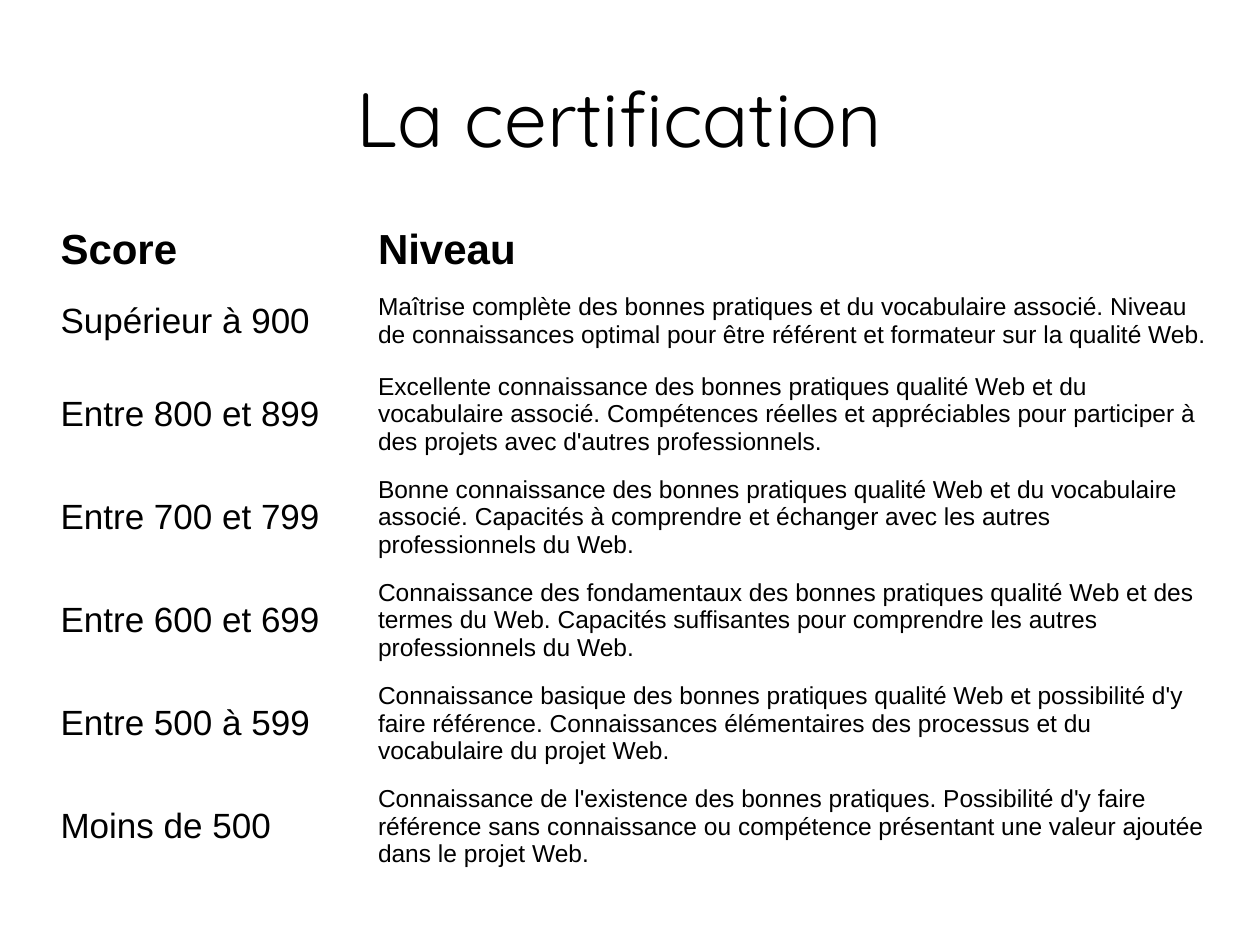
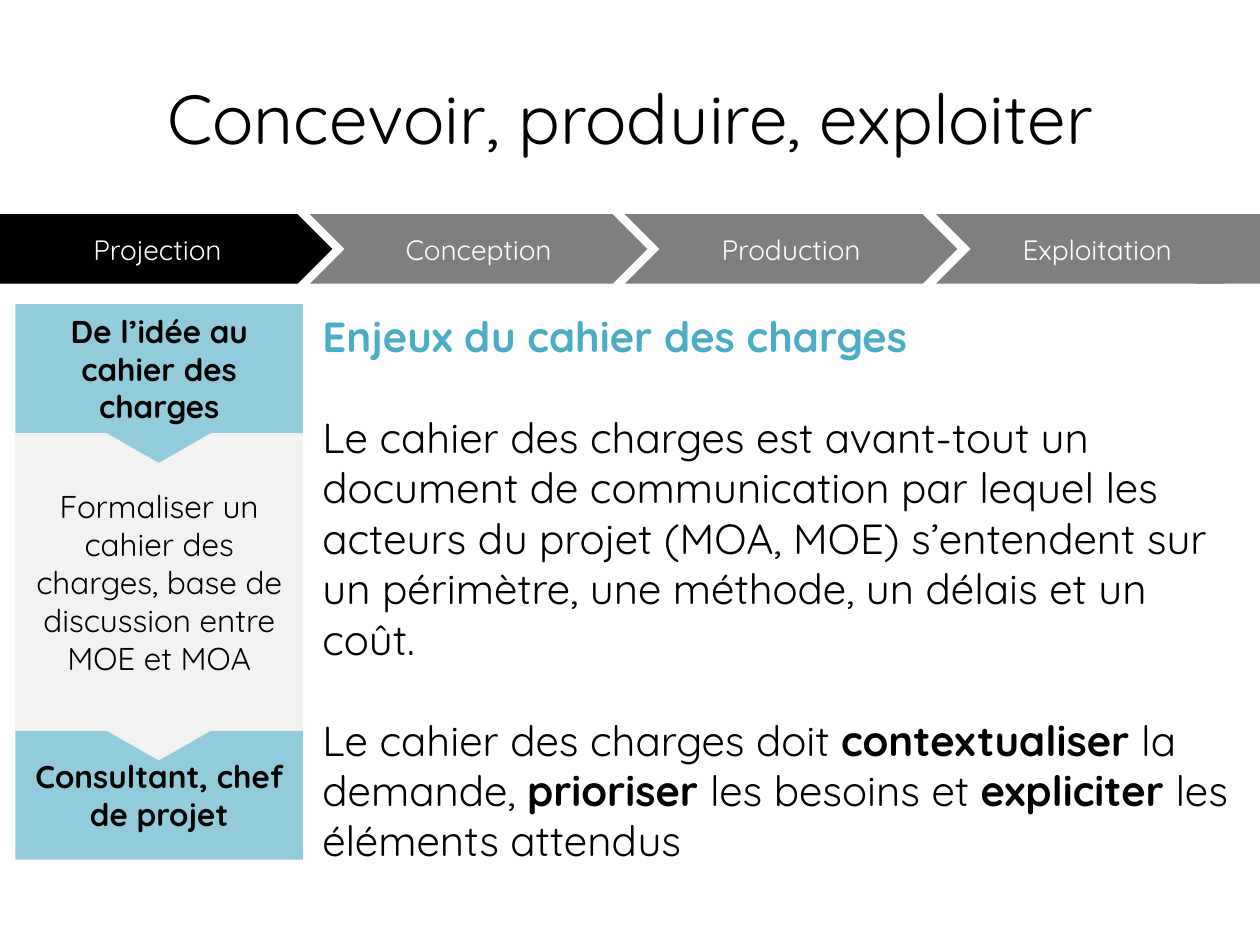
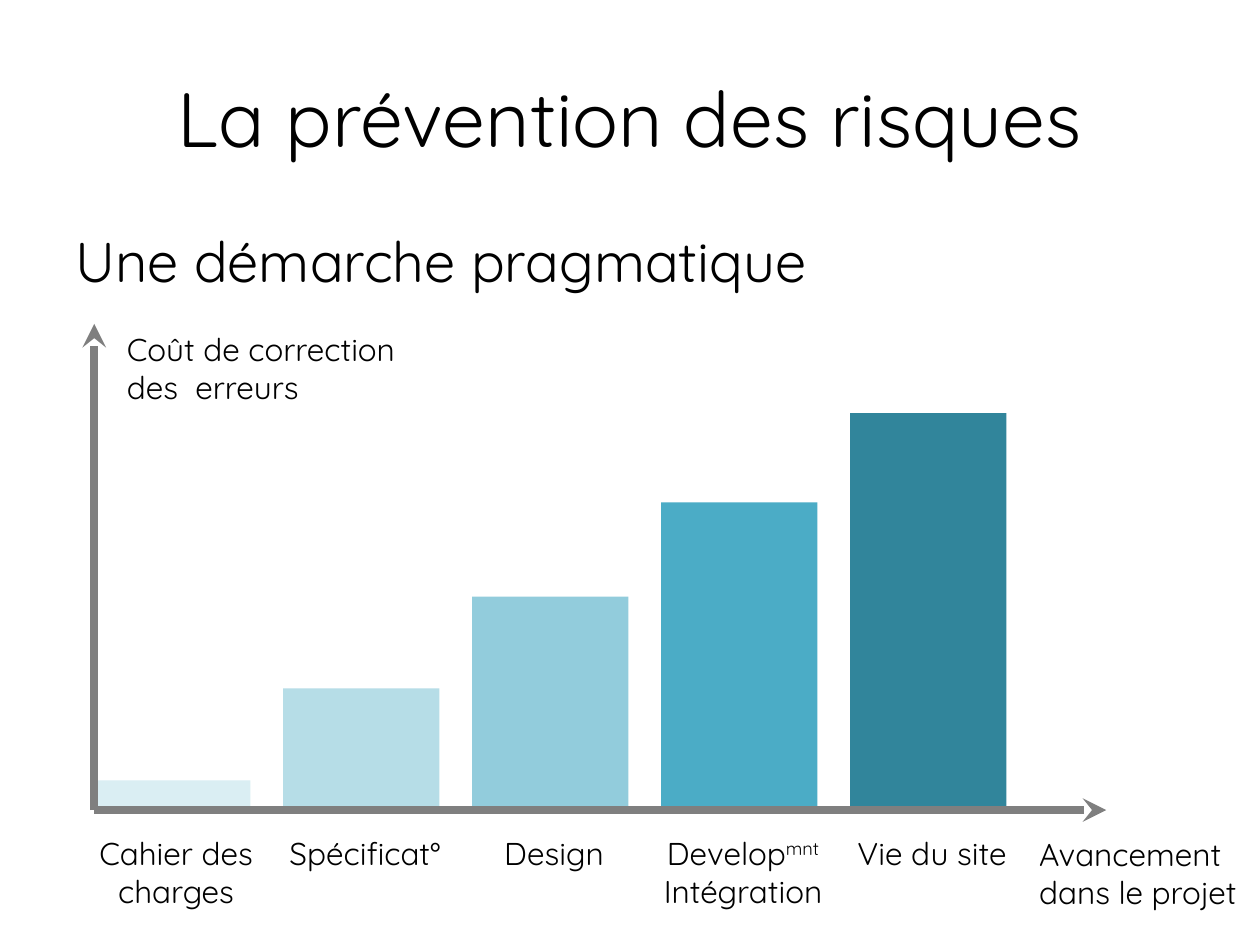
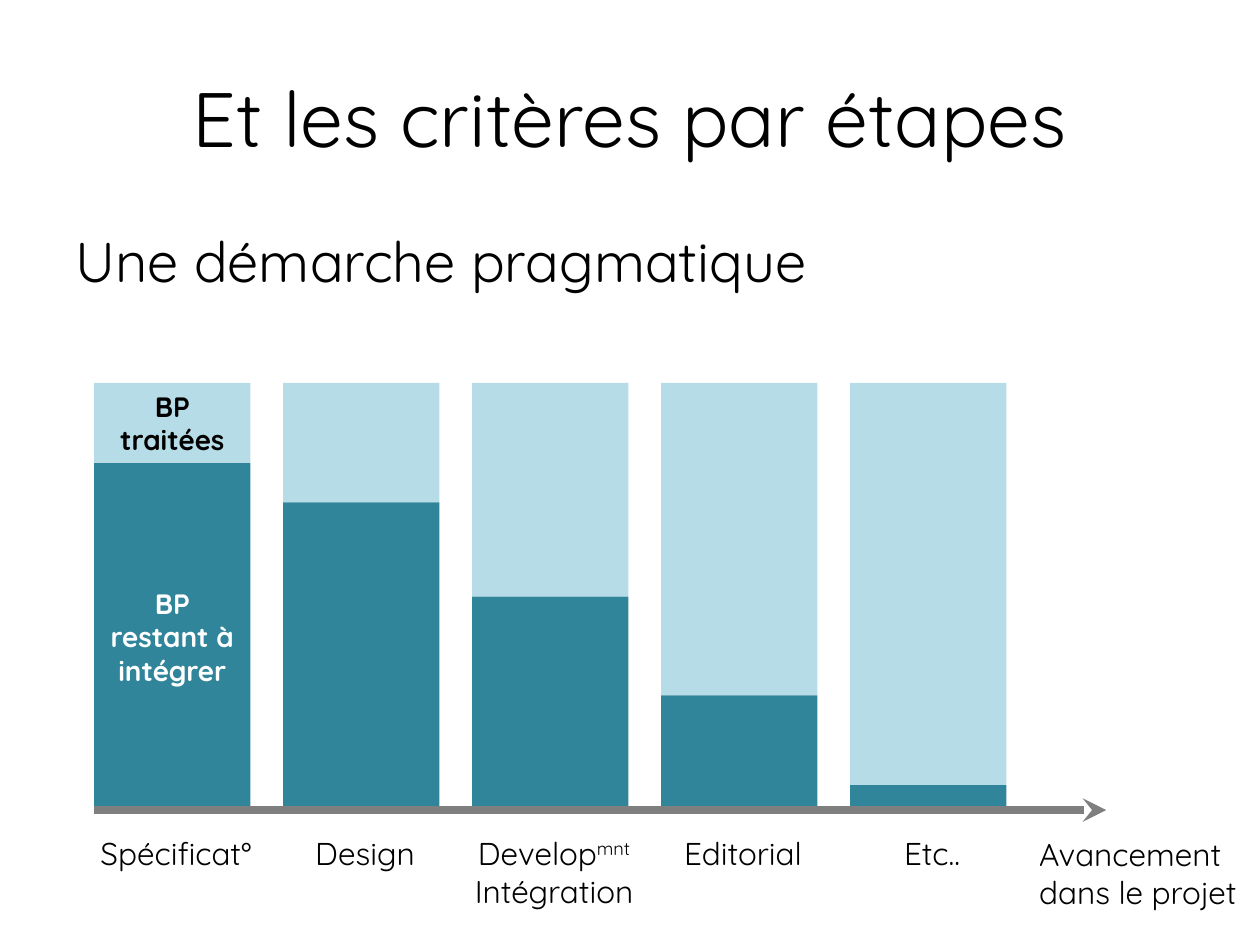
from itertools import accumulate
from lxml import etree
from pptx import Presentation
from pptx import util as u
from pptx.dml.color import RGBColor
from pptx.enum import shapes, text
from pptx.oxml.ns import qn

INK = {"black": "000000", "white": "FFFFFF", "grey": "7F7F7F", "light": "F2F2F2",
       "ice": "DAEEF3", "pale": "B6DDE7", "sky": "92CCDC", "teal": "4BACC6", "deep": "31859B"}
FONT = "Quicksand"
SUB = "Une démarche pragmatique"
AIM = "Avancement dans le projet"

LEVELS = [
    ("Score", "Niveau"),
    ("Supérieur à 900", "Maîtrise complète des bonnes pratiques et du vocabulaire associé. Niveau de connaissances optimal pour être référent et formateur sur la qualité Web."),
    ("Entre 800 et 899", "Excellente connaissance des bonnes pratiques qualité Web et du vocabulaire associé. Compétences réelles et appréciables pour participer à des projets avec d'autres professionnels."),
    ("Entre 700 et 799", "Bonne connaissance des bonnes pratiques qualité Web et du vocabulaire associé. Capacités à comprendre et échanger avec les autres professionnels du Web."),
    ("Entre 600 et 699", "Connaissance des fondamentaux des bonnes pratiques qualité Web et des termes du Web. Capacités suffisantes pour comprendre les autres professionnels du Web."),
    ("Entre 500 à 599", "Connaissance basique des bonnes pratiques qualité Web et possibilité d'y faire référence. Connaissances élémentaires des processus et du vocabulaire du projet Web."),
    ("Moins de 500", "Connaissance de l'existence des bonnes pratiques. Possibilité d'y faire référence sans connaissance ou compétence présentant une valeur ajoutée dans le projet Web."),
]
COLS = [6.4, 17]
ROWS = [0.5, 1.68] + [2.08] * 5

STEPS = [
    ("Projection", 0, 6.7, "PENTAGON", "black"),
    ("Conception", 6.25, 6.8, "CHEVRON", "grey"),
    ("Production", 12.6, 6.7, "CHEVRON", "grey"),
    ("Exploitation", 18.87, 6.5, "CHEVRON", "grey"),
]
CARDS = [
    ("De l’idée au cahier des charges", 2.6, "sky", True),
    ("Formaliser un cahier des charges, base de discussion entre MOE et MOA", 6, "light", False),
    ("Consultant, chef de projet", 2.6, "sky", True),
]
STAKES = "Enjeux du cahier des charges"
BODY = [
    "Le cahier des charges est avant-tout un document de communication par lequel les acteurs du projet (MOA, MOE) s’entendent sur un périmètre, une méthode, un délais et un coût.",
    "Le cahier des charges doit *contextualiser *la demande, *prioriser *les besoins et *expliciter *les éléments attendus",
]

COSTS = [
    ("Cahier des charges", 0.6, "ice"),
    ("Spécificat°", 2.45, "pale"),
    ("Design", 4.3, "sky"),
    ("Develop^mnt^ Intégration", 6.2, "teal"),
    ("Vie du site", 8, "deep"),
]
LEFT = [
    ("Spécificat°", 7),
    ("Design", 6.2),
    ("Develop^mnt^ Intégration", 4.3),
    ("Editorial", 2.31),
    ("Etc..", 0.5),
]
KEYS = ("BP traitées", "BP restant à intégrer")
BASE, FULL, WIDE = 16.33, 8.61, 3.15

deck = Presentation()
deck.slide_width, deck.slide_height = u.Cm(25.4), u.Cm(19.05)


def tint(name):
    return RGBColor.from_string(INK[name])


def write(frame, words, size=18, ink="black", bold=False, mid=False, font=FONT, gap=None, more=False):
    par = frame.add_paragraph() if more else frame.paragraphs[0]
    if mid:
        par.alignment = text.PP_ALIGN.CENTER
    if gap:
        par.space_before = u.Pt(gap)
    mark = "^" if "^" in words else "*"
    for i, part in enumerate(words.split(mark)):
        run = par.add_run()
        run.text = part
        face = run.font
        face.name, face.size, face.bold = font, u.Pt(size), bold
        face.color.rgb = tint(ink)
        if i % 2 and mark == "*":
            face.bold = True
        elif i % 2:
            run._r.get_or_add_rPr().set("baseline", "30000")


def place(page, box, words, flat=False, anchor="TOP", **form):
    frame = page.shapes.add_textbox(*map(u.Cm, box)).text_frame
    frame.word_wrap = True
    frame.vertical_anchor = text.MSO_ANCHOR[anchor]
    if flat:
        frame.margin_left = frame.margin_right = 0
        frame.margin_top = frame.margin_bottom = u.Cm(0.1)
    write(frame, words, **form)
    return frame


def block(page, box, fill, words=None, kind="RECTANGLE", **form):
    part = page.shapes.add_shape(shapes.MSO_SHAPE[kind], *map(u.Cm, box))
    part.shadow.inherit = False
    part.fill.solid()
    part.fill.fore_color.rgb = tint(fill)
    part.line.fill.background()
    if words:
        part.text_frame.word_wrap = True
        part.text_frame.vertical_anchor = text.MSO_ANCHOR.MIDDLE
        write(part.text_frame, words, mid=True, **form)
    return part


def start(title, size=44):
    page = deck.slides.add_slide(deck.slide_layouts[6])
    place(page, (1.27, 0.76, 22.86, 3.18), title, anchor="MIDDLE", size=size, mid=True)
    return page


def arrow(page, x, y):
    line = page.shapes.add_connector(shapes.MSO_CONNECTOR.STRAIGHT, *map(u.Cm, (1.9, BASE, x, y)))
    line.line.color.rgb = tint("grey")
    line.line.width = u.Pt(4.5)
    props = line._element.spPr
    etree.SubElement(props.find(qn("a:ln")), qn("a:tailEnd"), type="stealth")
    etree.SubElement(props, qn("a:effectLst"))


def bar(page, i, low, high, fill, words=None, **form):
    block(page, (1.9 + 3.81 * i, BASE - high, WIDE, high - low), fill, words, **form)


def axis(page, names, tall):
    place(page, (1.27, 4.45, 22.86, tall), SUB, size=32)
    arrow(page, 22.3, BASE)
    place(page, (20.7, 16.71, 5, 1.8), AIM)
    for i, name in enumerate(names):
        high = 1.75 if len(name) > 11 else 0.97
        place(page, (1.8 + 3.81 * i, 16.71, 3.5, high), name, flat=True, mid=True)


def score():
    page = start("La certification ")
    grid = page.shapes.add_table(len(ROWS), len(COLS), *map(u.Cm, (1.09, 4.45, sum(COLS), sum(ROWS)))).table
    grid.first_row = grid.horz_banding = False
    for col, wide in zip(grid.columns, COLS):
        col.width = u.Cm(wide)
    for r, (row, high) in enumerate(zip(grid.rows, ROWS)):
        row.height = u.Cm(high)
        for c, cell in enumerate(row.cells):
            cell.fill.background()
            cell.vertical_anchor = text.MSO_ANCHOR.MIDDLE
            cell.margin_left = cell.margin_right = u.Cm(0.13)
            cell.margin_top = cell.margin_bottom = u.Cm(0.08)
            size = (20, 14)[c] if r else 24
            write(cell.text_frame, LEVELS[r][c], size=size, bold=r == 0, font="Arial")


def brief():
    page = start("Concevoir, produire, exploiter", 39.6)
    ends = accumulate((card[1] for card in CARDS), initial=6.13)
    stack = list(zip(CARDS, ends))
    for i, ((words, high, fill, bold), top) in reversed(list(enumerate(stack))):
        if i < len(CARDS) - 1:
            block(page, (1.45, top + high - 0.4, 3.5, 1), fill, kind="ISOSCELES_TRIANGLE").rotation = 180
        block(page, (0.31, top, 5.8, high), fill, words, bold=bold)
    block(page, (24.1, 4.32, 1.3, 1.4), "grey")
    for words, x, wide, kind, fill in STEPS:
        block(page, (x, 4.32, wide, 1.4), fill, words, kind=kind, size=16, ink="white")
    frame = place(page, (6.25, 6.13, 18.85, 12.07), STAKES, size=24, ink="teal", bold=True)
    for words in BODY:
        write(frame, words, size=24, gap=29, more=True)


def risk():
    page = start("La prévention des risques")
    for i, (name, high, fill) in enumerate(COSTS):
        bar(page, i, 0, high, fill)
    arrow(page, 1.9, 6.53)
    place(page, (2.31, 6.53, 6, 1.8), "Coût de correction des  erreurs")
    axis(page, [cost[0] for cost in COSTS], 12.57)


def stage():
    page = start("Et les critères par étapes")
    for i, (name, high) in enumerate(LEFT):
        done, todo = KEYS if i == 0 else (None, None)
        bar(page, i, high, FULL, "pale", done, size=16, bold=True)
        bar(page, i, 0, high, "deep", todo, size=16, bold=True, ink="white")
    axis(page, [item[0] for item in LEFT], 1.68)


def main():
    for build in (score, brief, risk, stage):
        build()
    deck.save("out.pptx")


if __name__ == "__main__":
    main()
